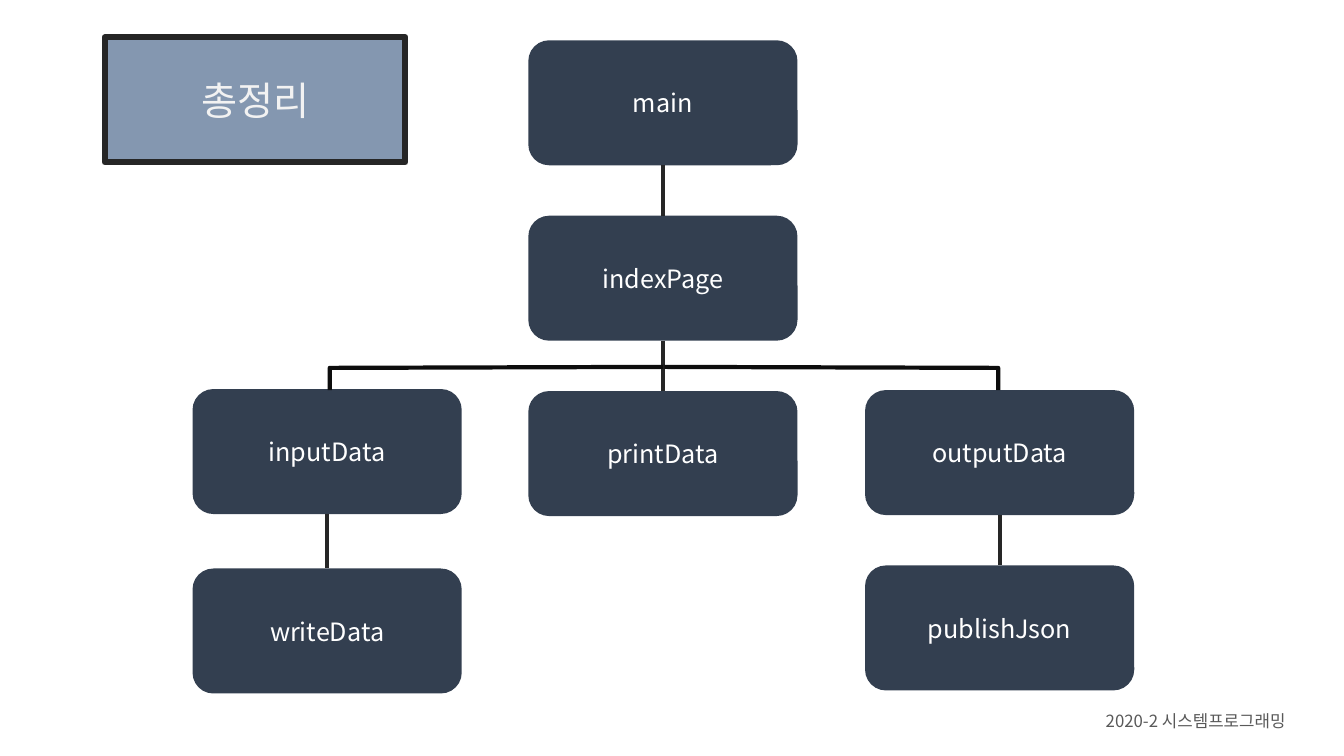
from pptx import Presentation
from pptx.dml.color import RGBColor as RGB
from pptx.enum.shapes import MSO_CONNECTOR as LINK, MSO_SHAPE as SHAPE
from pptx.enum.text import MSO_ANCHOR as ANCHOR, MSO_AUTO_SIZE as FIT, PP_ALIGN as ALIGN
from pptx.oxml.ns import qn
from pptx.util import Inches, Pt
from lxml import etree

FONT = "Noto Sans CJK KR"
WIDE, HIGH = 2.67, 1.24
LEFT, MID, RIGHT = 1.91, 5.24, 8.58
NODES = {
    "main": (MID, 0.4),
    "indexPage": (MID, 2.14),
    "inputData": (LEFT, 3.86),
    "writeData": (LEFT, 5.64),
    "printData": (MID, 3.88),
    "outputData": (RIGHT, 3.87),
    "publishJson": (RIGHT, 5.61),
}
LINKS = [
    ("main", "indexPage"),
    ("indexPage", "printData"),
    ("inputData", "writeData"),
    ("outputData", "publishJson"),
]


def color(code):
    """Turn a hex string into a colour."""
    return RGB.from_string(code)


def paint(shape, code):
    """Fill a shape with one colour."""
    shape.fill.solid()
    shape.fill.fore_color.rgb = color(code)


def stroke(line, code, width):
    """Set the colour and width of a line."""
    line.color.rgb = color(code)
    line.width = Pt(width)


def write(shape, text, size, code, align=ALIGN.CENTER):
    """Put one line of styled text in a shape."""
    frame = shape.text_frame
    frame.text = text
    frame.word_wrap = True
    frame.auto_size = FIT.NONE
    frame.vertical_anchor = ANCHOR.MIDDLE
    para = frame.paragraphs[0]
    para.alignment = align
    font = para.runs[0].font
    font.name, font.size = FONT, Pt(size)
    font.color.rgb = color(code)
    etree.SubElement(para.runs[0].font._element, qn("a:ea")).set("typeface", FONT)


def head(slide, x, y, w, h):
    """Place the framed title."""
    title = slide.shapes.title
    title.left, title.top, title.width, title.height = map(Inches, (x, y, w, h))
    paint(title, "8497B0")
    stroke(title.line, "262626", 4.5)
    write(title, "총정리", 28, "F2F2F2")


def foot(slide, x, y, w, h):
    """Place the course name."""
    box = slide.shapes.add_textbox(*map(Inches, (x, y, w, h)))
    write(box, "2020-2 시스템프로그래밍", 12, "595959", ALIGN.RIGHT)


def node(slide, name, x, y):
    """Draw one function box."""
    box = slide.shapes.add_shape(
        SHAPE.ROUNDED_RECTANGLE, *map(Inches, (x, y, WIDE, HIGH)))
    box.shadow.inherit = False
    paint(box, "333F50")
    box.line.fill.background()
    write(box, name, 18, "FFFFFF")
    return box


def link(slide, upper, lower):
    """Join the bottom of one box to the top of another."""
    line = slide.shapes.add_connector(LINK.STRAIGHT, 0, 0, 0, 0)
    line.begin_connect(upper, 2)
    line.end_connect(lower, 0)
    stroke(line.line, "262626", 3)
    etree.SubElement(line._element.spPr, qn("a:effectLst"))


def branch(slide, x, y, end, drop):
    """Draw a bent line out to a side box."""
    pen = slide.shapes.build_freeform(Inches(x), Inches(y))
    turn = Inches(y + 0.01)
    pen.add_line_segments(
        [(Inches(end), turn), (Inches(end), Inches(y + drop))], close=False)
    bend = pen.convert_to_shape()
    bend.shadow.inherit = False
    bend.fill.background()
    stroke(bend.line, "0D0D0D", 3)


def tree(slide):
    """Draw the call tree."""
    boxes = {name: node(slide, name, x, y) for name, (x, y) in NODES.items()}
    for upper, lower in LINKS:
        link(slide, boxes[upper], boxes[lower])
    for start, end in ((6.58, 3.27), (6.59, 9.9)):
        branch(slide, start, 3.64, end, 0.23)


def main():
    """Build and save the slide."""
    deck = Presentation()
    deck.slide_width, deck.slide_height = Inches(13.33), Inches(7.5)
    slide = deck.slides.add_slide(deck.slide_layouts[5])
    foot(slide, 8.35, 6.95, 4.5, 0.4)
    head(slide, 1.04, 0.37, 2.98, 1.24)
    tree(slide)
    deck.save("out.pptx")


if __name__ == "__main__":
    main()
